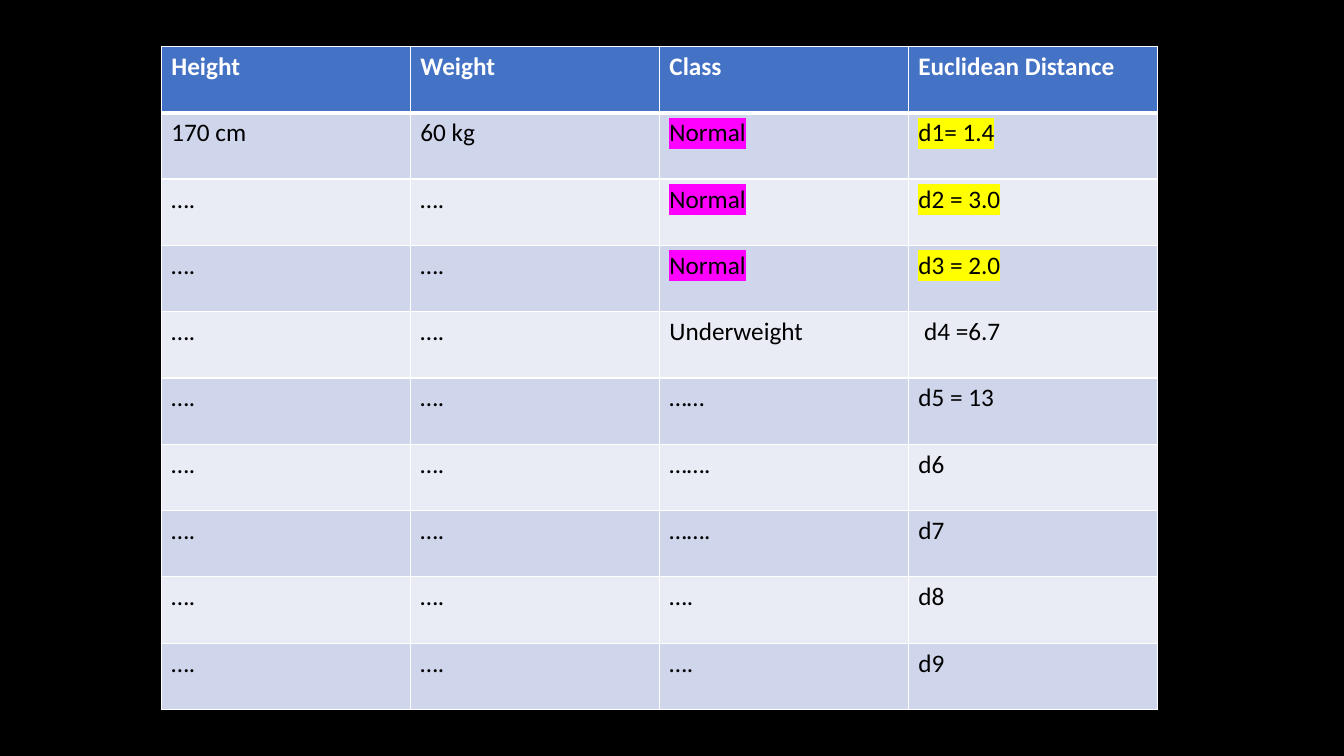
"""Build a slide with a table of nearest-neighbour distances."""
from dataclasses import dataclass

from lxml.etree import SubElement
from pptx import Presentation
from pptx.dml.color import RGBColor
from pptx.oxml.ns import qn
from pptx.util import Inches, Pt


@dataclass(frozen=True)
class Theme:
    """Colours, font and sizes of the slide."""
    background: str = "000000"
    header_fill: str = "4472C4"
    bands: tuple = ("CFD5EA", "E9EBF5")
    header_text: str = "FFFFFF"
    body_text: str = "000000"
    border: str = "FFFFFF"
    class_mark: str = "FF00FF"
    distance_mark: str = "FFFF00"
    font: str = "Calibri"
    text_size: int = 18
    thin_line: int = 1
    thick_line: int = 3


THEME = Theme()
NEIGHBOURS = 3
DOTS = "…."
HEADER = ("Height", "Weight", "Class", "Euclidean Distance")
SAMPLES = (
    ("170 cm", "60 kg", "Normal", "d1= 1.4"),
    (DOTS, DOTS, "Normal", "d2 = 3.0"),
    (DOTS, DOTS, "Normal", "d3 = 2.0"),
    (DOTS, DOTS, "Underweight", " d4 =6.7"),
    (DOTS, DOTS, "……", "d5 = 13"),
    (DOTS, DOTS, "…….", "d6"),
    (DOTS, DOTS, "…….", "d7"),
    (DOTS, DOTS, DOTS, "d8"),
    (DOTS, DOTS, DOTS, "d9"),
)


def add_colour(parent, tag, colour):
    """Append a colour-bearing element to an XML parent."""
    element = SubElement(parent, qn(tag))
    SubElement(element, qn("a:srgbClr"), val=colour)


def set_borders(cell, top, bottom):
    """Draw the four borders of a cell."""
    properties = cell._tc.get_or_add_tcPr()
    widths = {"L": THEME.thin_line, "R": THEME.thin_line, "T": top, "B": bottom}
    for side, width in widths.items():
        line = SubElement(properties, qn(f"a:ln{side}"), w=str(Pt(width)))
        add_colour(line, "a:solidFill", THEME.border)


def write_cell(cell, text, fill, colour, bold=False, mark=None):
    """Fill a cell and write its text, highlighted if a mark is given."""
    cell.fill.solid()
    cell.fill.fore_color.rgb = RGBColor.from_string(fill)
    para = cell.text_frame.paragraphs[0]
    span = para.add_run()
    span.text = text
    para.font.name = THEME.font
    para.font.size = Pt(THEME.text_size)
    para.font.bold = bold
    para.font.color.rgb = RGBColor.from_string(colour)
    if mark:
        add_colour(span._r.get_or_add_rPr(), "a:highlight", mark)


def add_distance_table(page):
    """Add the table, marking the nearest neighbours."""
    frame = page.shapes.add_table(len(SAMPLES) + 1, len(HEADER), Inches(1.6),
                                  Inches(0.46), Inches(9.88), Inches(6.58))
    table = frame.table
    for column, title in enumerate(HEADER):
        cell = table.cell(0, column)
        set_borders(cell, THEME.thin_line, THEME.thick_line)
        write_cell(cell, title, THEME.header_fill, THEME.header_text, bold=True)
    marks = (None, None, THEME.class_mark, THEME.distance_mark)
    for row, sample in enumerate(SAMPLES, start=1):
        top = THEME.thick_line if row == 1 else THEME.thin_line
        fill = THEME.bands[(row - 1) % len(THEME.bands)]
        for column, text in enumerate(sample):
            cell = table.cell(row, column)
            set_borders(cell, top, THEME.thin_line)
            mark = marks[column] if row <= NEIGHBOURS else None
            write_cell(cell, text, fill, THEME.body_text, mark=mark)


def main():
    """Create the deck and save it."""
    deck = Presentation()
    deck.slide_width, deck.slide_height = Inches(13.33), Inches(7.5)
    page = deck.slides.add_slide(deck.slide_layouts[6])
    page.background.fill.solid()
    page.background.fill.fore_color.rgb = RGBColor.from_string(THEME.background)
    add_distance_table(page)
    deck.save("out.pptx")


main()
